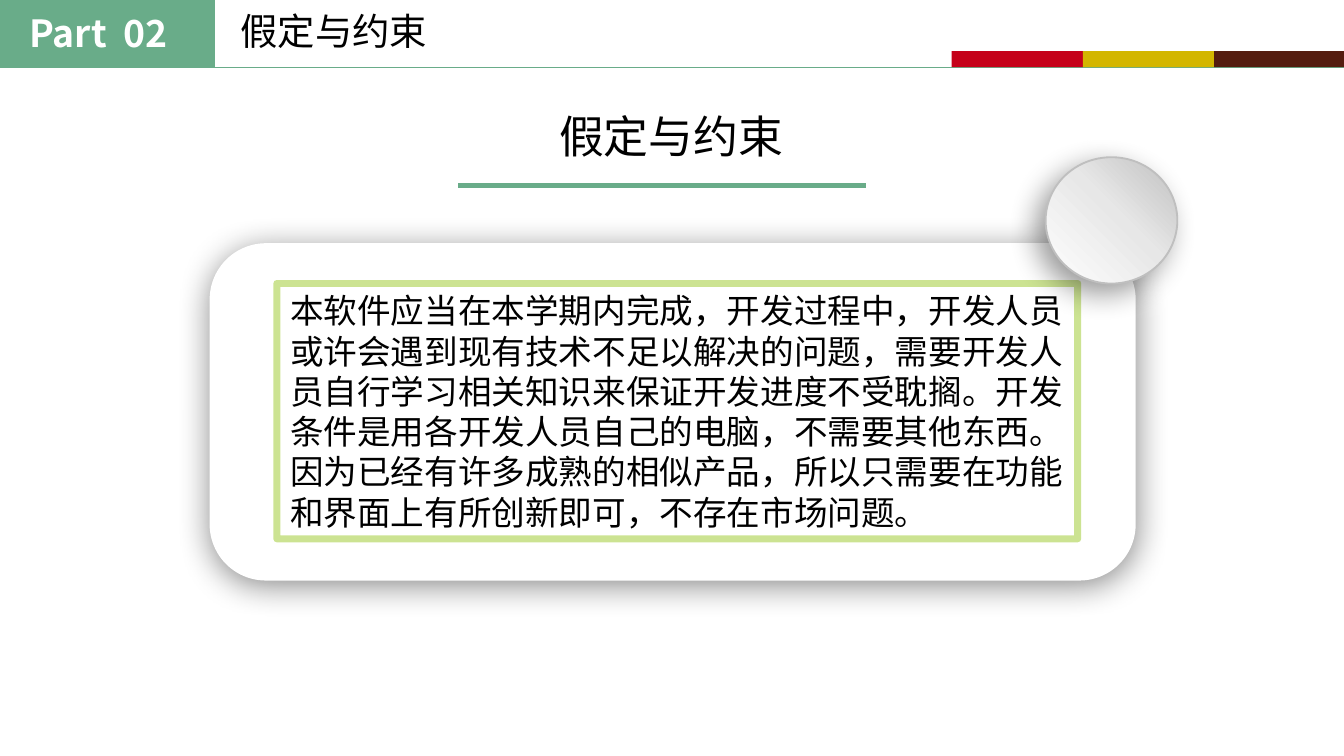
"""Build the assumptions and constraints slide."""
import dataclasses
import typing

import lxml.etree
import pptx
import pptx.dml.color
import pptx.enum.shapes
import pptx.enum.text
import pptx.oxml
import pptx.oxml.ns
import pptx.util

Inches = pptx.util.Inches
Shapes = pptx.enum.shapes.MSO_SHAPE
Box = tuple[float, float, float, float]


@dataclasses.dataclass(frozen=True)
class Theme:
    green: str = "69AC89"
    lime: str = "A3CD39"
    white: str = "FFFFFF"
    black: str = "000000"
    silver: str = "BFBFBF"
    stripes: tuple[str, ...] = ("C50119", "D3B600", "541C0F")
    button: tuple[tuple[int, str], ...] = ((0, "FFFFFF"), (55, "E7E7E7"), (100, "BFBFBF"))
    latin_font: str = "Calibri"
    chinese_font: str = "Noto Sans CJK SC"
    header_size: int = 20
    title_size: int = 24
    body_size: int = 18


@dataclasses.dataclass(frozen=True)
class Shadow:
    opacity: int
    blur: float
    distance: float
    angle: int


@dataclasses.dataclass(frozen=True)
class Label:
    text: str
    size: int
    color: str
    font: str
    bold: bool = False
    wrap: bool = True


THEME = Theme()
TOPIC = "假定与约束"
BODY = (
    "本软件应当在本学期内完成，开发过程中，开发人员或许会遇到现有技术不足以解决的问题，"
    "需要开发人员自行学习相关知识来保证开发进度不受耽搁。开发条件是用各开发人员自己的电脑，"
    "不需要其他东西。因为已经有许多成熟的相似产品，所以只需要在功能和界面上有所创新即可，"
    "不存在市场问题。"
)


def rgb(color: str) -> pptx.dml.color.RGBColor:
    return pptx.dml.color.RGBColor.from_string(color)


def element(xml: str) -> typing.Any:
    namespace = pptx.oxml.ns.nsdecls("a")
    return pptx.oxml.parse_xml(xml.replace(">", f" {namespace}>", 1))


def add_block(slide: typing.Any, kind: Shapes, box: Box, fill: str | None = None) -> typing.Any:
    shape = slide.shapes.add_shape(kind, *map(Inches, box))
    shape.shadow.inherit = False
    shape.line.fill.background()
    if fill:
        shape.fill.solid()
        shape.fill.fore_color.rgb = rgb(fill)
    else:
        shape.fill.background()
    return shape


def set_outline(shape: typing.Any, color: str, width: float) -> None:
    shape.line.color.rgb = rgb(color)
    shape.line.width = pptx.util.Pt(width)


def set_outline_opacity(shape: typing.Any, percent: int) -> None:
    color = shape._element.spPr.find(".//" + pptx.oxml.ns.qn("a:ln")).find(
        ".//" + pptx.oxml.ns.qn("a:srgbClr")
    )
    alpha = lxml.etree.SubElement(color, pptx.oxml.ns.qn("a:alpha"))
    alpha.set("val", str(percent * 1000))


def add_rule(slide: typing.Any, left: float, right: float, top: float, width: float) -> None:
    connector = slide.shapes.add_connector(
        pptx.enum.shapes.MSO_CONNECTOR.STRAIGHT, *map(Inches, (left, top, right, top))
    )
    set_outline(connector, THEME.green, width)
    lxml.etree.SubElement(connector._element.spPr, pptx.oxml.ns.qn("a:effectLst"))


def set_shadow(shape: typing.Any, shadow: Shadow) -> None:
    effects = shape._element.spPr.find(pptx.oxml.ns.qn("a:effectLst"))
    effects.append(element(
        f'<a:outerShdw blurRad="{pptx.util.Pt(shadow.blur)}" dist="{pptx.util.Pt(shadow.distance)}"'
        f' dir="{shadow.angle * 60000}" algn="ctr" rotWithShape="0"><a:srgbClr val="{THEME.black}">'
        f'<a:alpha val="{shadow.opacity * 1000}"/></a:srgbClr></a:outerShdw>'
    ))


def set_radial_fill(shape: typing.Any, stops: tuple[tuple[int, str], ...]) -> None:
    stop_xml = "".join(
        f'<a:gs pos="{position * 1000}"><a:srgbClr val="{color}"/></a:gs>' for position, color in stops
    )
    properties = shape._element.spPr
    properties.replace(properties.find(pptx.oxml.ns.qn("a:noFill")), element(
        f'<a:gradFill><a:gsLst>{stop_xml}</a:gsLst><a:path path="circle">'
        '<a:fillToRect t="100000" r="100000"/></a:path></a:gradFill>'
    ))


def write_label(shape: typing.Any, label: Label) -> None:
    frame = shape.text_frame
    frame.word_wrap = label.wrap
    frame.auto_size = pptx.enum.text.MSO_AUTO_SIZE.NONE
    frame.vertical_anchor = pptx.enum.text.MSO_ANCHOR.TOP
    paragraph = frame.paragraphs[0]
    paragraph.alignment = pptx.enum.text.PP_ALIGN.LEFT
    run = paragraph.add_run()
    run.text = label.text
    run.font.size = pptx.util.Pt(label.size)
    run.font.bold = label.bold
    run.font.name = label.font
    run.font.color.rgb = rgb(label.color)
    east_asian = lxml.etree.SubElement(run._r.rPr, pptx.oxml.ns.qn("a:ea"))
    east_asian.set("typeface", THEME.chinese_font)


def add_label(slide: typing.Any, box: Box, label: Label) -> None:
    write_label(slide.shapes.add_textbox(*map(Inches, box)), label)


def draw_header(slide: typing.Any) -> None:
    add_block(slide, Shapes.RECTANGLE, (0, 0, 1.6, 0.5), THEME.green)
    add_rule(slide, -0.01, 10.01, 0.5, 0.5)
    stripe_left, stripe_right = 7.08, 10.01
    stripe_width = (stripe_right - stripe_left) / len(THEME.stripes)
    for index, color in enumerate(THEME.stripes):
        left = stripe_left + index * stripe_width
        add_block(slide, Shapes.RECTANGLE, (left, 0.38, stripe_width, 0.12), color)
    add_label(slide, (1.69, 0.01, 1.59, 0.43),
              Label(TOPIC, THEME.header_size, THEME.black, THEME.latin_font, wrap=False))
    add_label(slide, (0.12, 0.03, 1.57, 0.44),
              Label("Part  02", THEME.header_size, THEME.white, THEME.chinese_font, bold=True))


def draw_title(slide: typing.Any) -> None:
    title = slide.shapes.title
    title.left, title.top, title.width, title.height = map(Inches, (4.06, 0.76, 1.87, 0.5))
    write_label(title, Label(TOPIC, THEME.title_size, THEME.black, THEME.latin_font, wrap=False))
    for index in range(3):
        left = 3.41 + index * 1.01
        add_rule(slide, left, left + 1.01, 1.38, 3)


def draw_card(slide: typing.Any) -> None:
    card = add_block(slide, Shapes.ROUNDED_RECTANGLE, (1.56, 1.81, 6.89, 2.51), THEME.white)
    set_shadow(card, Shadow(46, 18, 3, 80))
    body = add_block(slide, Shapes.RECTANGLE, (2.06, 2.11, 5.96, 1.9))
    set_outline(body, THEME.lime, 3.75)
    set_outline_opacity(body, 54)
    write_label(body, Label(BODY, THEME.body_size, THEME.black, THEME.latin_font))
    button = add_block(slide, Shapes.OVAL, (7.78, 1.17, 0.98, 0.94))
    set_radial_fill(button, THEME.button)
    set_outline(button, THEME.silver, 1)
    set_shadow(button, Shadow(40, 16, 7, 135))


def main() -> None:
    presentation = pptx.Presentation()
    presentation.slide_width = Inches(10)
    presentation.slide_height = presentation.slide_width * 9 // 16
    slide = presentation.slides.add_slide(presentation.slide_layouts[5])
    draw_header(slide)
    draw_title(slide)
    draw_card(slide)
    presentation.save("out.pptx")


if __name__ == "__main__":
    main()
